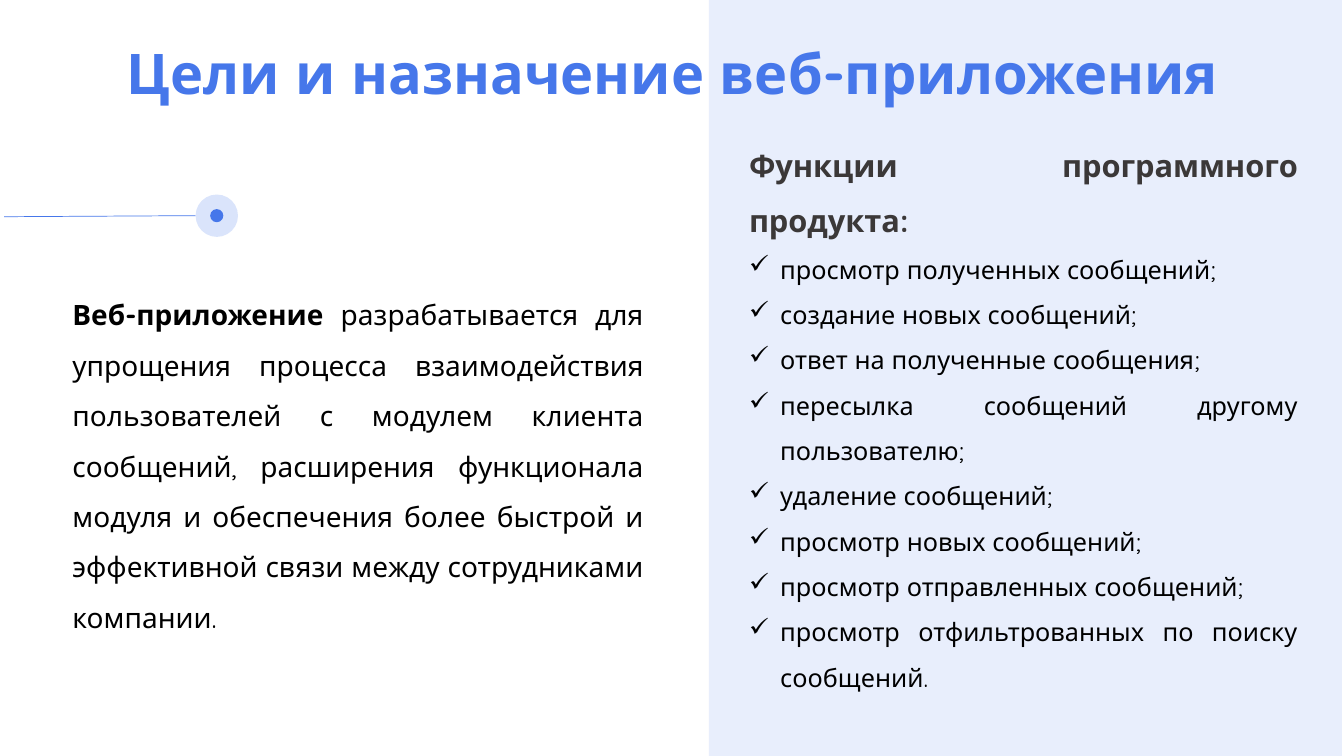
import pptx
import pptx.dml.color
import pptx.enum.shapes
import pptx.enum.text
import pptx.oxml.ns
import pptx.util
import lxml.etree

COLORS = {"blue": "4677EA", "pale": "DAE4FB", "heading": "3B3838", "text": "000000"}
FONT = "Quicksand"
WIDTH = pptx.util.Inches(13.33)
HEIGHT = pptx.util.Inches(7.5)
FUNCTIONS = [
    "просмотр полученных сообщений;",
    "создание новых сообщений;",
    "ответ на полученные сообщения;",
    "пересылка сообщений другому пользователю;",
    "удаление сообщений;",
    "просмотр новых сообщений;",
    "просмотр отправленных сообщений;",
    "просмотр отфильтрованных по поиску сообщений.",
]
PURPOSE = (
    "разрабатывается для упрощения процесса взаимодействия пользователей "
    "с модулем клиента сообщений, расширения функционала модуля и обеспечения "
    "более быстрой и эффективной связи между сотрудниками компании."
)
SHAPES = pptx.enum.shapes.MSO_SHAPE
ALIGN = pptx.enum.text.PP_ALIGN
ANCHOR = pptx.enum.text.MSO_ANCHOR


def across(percent):
    return round(WIDTH * percent / 100)


def down(percent):
    return round(HEIGHT * percent / 100)


def rgb(name):
    return pptx.dml.color.RGBColor.from_string(COLORS[name])


def add_child(parent, tag, **attributes):
    return lxml.etree.SubElement(parent, pptx.oxml.ns.qn(tag), **attributes)


def add_filled(slide, kind, left, top, width, height, color):
    shape = slide.shapes.add_shape(kind, left, top, width, height)
    shape.shadow.inherit = False
    shape.fill.solid()
    shape.fill.fore_color.rgb = rgb(color)
    shape.line.fill.background()
    return shape


def add_panel(slide):
    panel = add_filled(slide, SHAPES.RECTANGLE, across(52.74), 0, across(47.11), HEIGHT, "pale")
    color = panel.fill._xPr.find(".//" + pptx.oxml.ns.qn("a:srgbClr"))
    add_child(color, "a:alpha", val="60000")


def add_disc(slide, center_x, center_y, diameter, color):
    size = across(diameter)
    left, top = across(center_x) - size // 2, down(center_y) - size // 2
    add_filled(slide, SHAPES.OVAL, left, top, size, size, color)


def add_pointer(slide):
    line = slide.shapes.add_connector(
        pptx.enum.shapes.MSO_CONNECTOR.STRAIGHT,
        across(0.3), down(28.67), across(14.55), down(28.53))
    line.line.color.rgb = rgb("blue")
    line.line.width = pptx.util.Pt(0.5)
    add_child(line._element.spPr, "a:effectLst")
    for diameter, color in ((3.15, "pale"), (0.98, "blue")):
        add_disc(slide, 16.13, 28.53, diameter, color)


def add_text_box(slide, left, top, width, height, anchor=ANCHOR.TOP):
    box = slide.shapes.add_textbox(across(left), down(top), across(width), down(height))
    box.text_frame.word_wrap = True
    box.text_frame.vertical_anchor = anchor
    return box.text_frame


def format_paragraph(paragraph, size, color, bold=False, align=ALIGN.JUSTIFY, spacing=1.5):
    paragraph.alignment = align
    paragraph.line_spacing = spacing
    for run in paragraph.runs:
        run.font.name = FONT
        run.font.size = pptx.util.Pt(size)
        run.font.bold = bold
        run.font.color.rgb = rgb(color)


def add_check_item(frame, text):
    paragraph = frame.add_paragraph()
    paragraph.text = text
    format_paragraph(paragraph, 18, "text")
    properties = paragraph._p.get_or_add_pPr()
    indent = pptx.util.Inches(0.31)
    properties.set("marL", str(indent))
    properties.set("indent", str(-indent))
    add_child(properties, "a:buChar", char="✓")


def add_title(slide):
    frame = add_text_box(slide, 6.9, 5.33, 86.27, 9.47, ANCHOR.MIDDLE)
    frame.text = "Цели и назначение веб-приложения"
    format_paragraph(frame.paragraphs[0], 40, "blue", True, ALIGN.CENTER, 0.9)


def add_functions(slide):
    frame = add_text_box(slide, 54.99, 16.27, 42.31, 80.93)
    frame.text = "Функции программного продукта:"
    format_paragraph(frame.paragraphs[0], 22, "heading", True)
    for text in FUNCTIONS:
        add_check_item(frame, text)


def add_purpose(slide):
    frame = add_text_box(slide, 4.65, 36.53, 43.96, 47.6)
    paragraph = frame.paragraphs[0]
    paragraph.text = "Веб-приложение "
    paragraph.add_run().text = PURPOSE
    format_paragraph(paragraph, 20, "text")
    paragraph.runs[0].font.bold = True


def main():
    presentation = pptx.Presentation()
    presentation.slide_width = WIDTH
    presentation.slide_height = HEIGHT
    slide = presentation.slides.add_slide(presentation.slide_layouts[6])
    add_panel(slide)
    add_title(slide)
    add_pointer(slide)
    add_functions(slide)
    add_purpose(slide)
    presentation.save("out.pptx")


if __name__ == "__main__":
    main()
